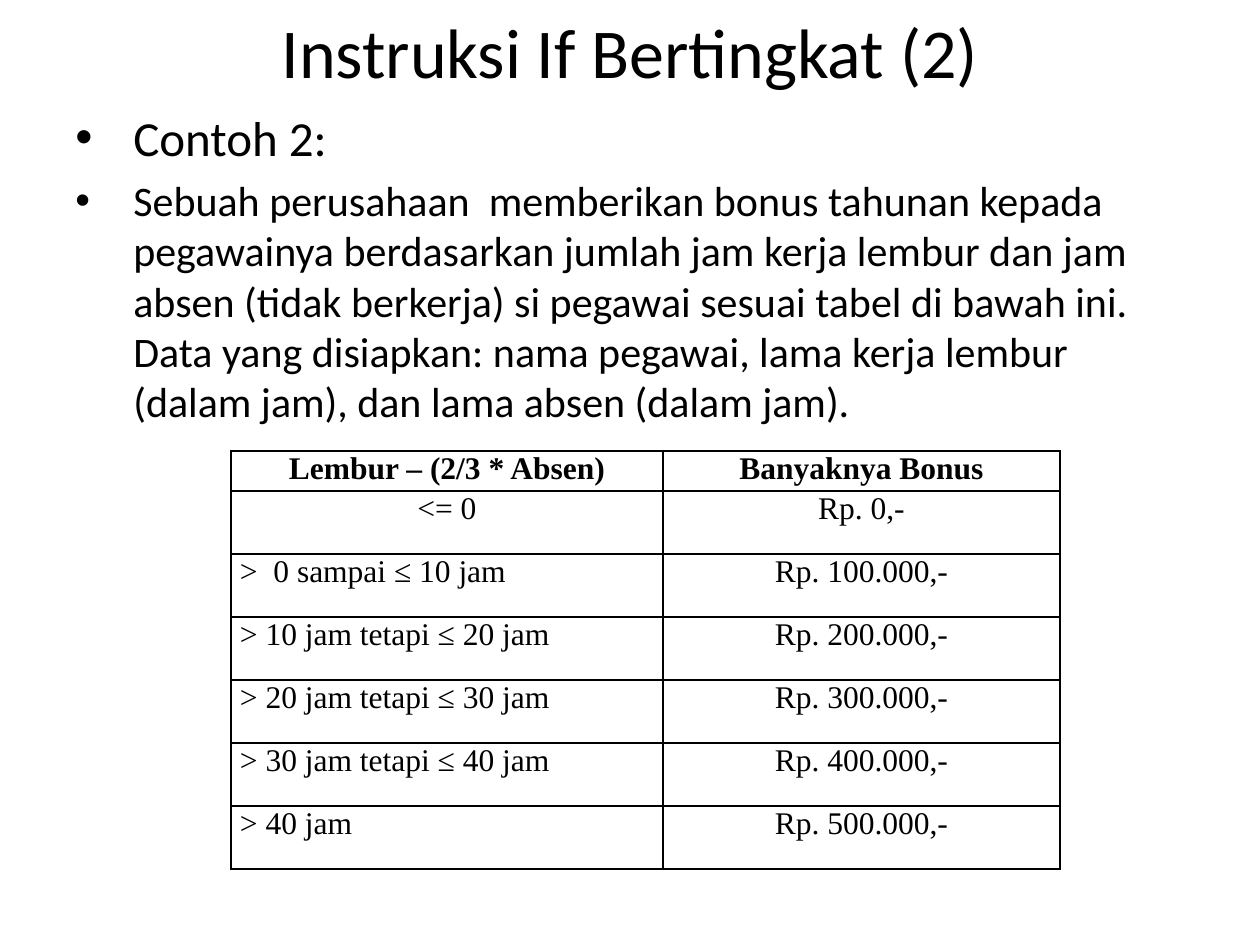
import pptx
import pptx.util
import pptx.dml.color
import pptx.enum.text
import pptx.oxml
import pptx.oxml.ns
import lxml.etree

ALIGN = pptx.enum.text.PP_ALIGN
ANCHOR = pptx.enum.text.MSO_ANCHOR
BLACK = pptx.dml.color.RGBColor(0, 0, 0)
BODY_FONT = "Calibri"
TABLE_FONT = "Times New Roman"

TITLE = "Instruksi If Bertingkat (2)"
BULLETS = [
    ("Contoh 2:", 28),
    ("Sebuah perusahaan  memberikan bonus tahunan kepada pegawainya "
     "berdasarkan jumlah jam kerja lembur dan jam absen (tidak berkerja) "
     "si pegawai sesuai tabel di bawah ini. Data yang disiapkan: nama "
     "pegawai, lama kerja lembur (dalam jam), dan lama absen (dalam jam).", 24),
]
BONUS_ROWS = [
    ("Lembur – (2/3 * Absen)", "Banyaknya Bonus"),
    ("<= 0", "Rp. 0,-"),
    (">  0 sampai ≤ 10 jam", "Rp. 100.000,-"),
    ("> 10 jam tetapi ≤ 20 jam", "Rp. 200.000,-"),
    ("> 20 jam tetapi ≤ 30 jam", "Rp. 300.000,-"),
    ("> 30 jam tetapi ≤ 40 jam", "Rp. 400.000,-"),
    ("> 40 jam", "Rp. 500.000,-"),
]

SLIDE_SIZE = (1260, 945)
TITLE_BOX = (63, -1, 1134, 103)
BODY_BOX = (63, 101, 1134, 766)
TABLE_ORIGIN = (231, 451)
COLUMN_WIDTHS = (432, 397)
HEADER_HEIGHT, ROW_HEIGHT = 40, 63
BULLET_INDENT = 58
CELL_MARGIN = 9
CENTERED_ROWS = 2


def px(length):
    return pptx.util.Emu(length * 914400 // 126)


def write(paragraph, text, size, font=BODY_FONT, bold=False, align=ALIGN.LEFT):
    paragraph.alignment = align
    run = paragraph.add_run()
    run.text = text
    run.font.size = pptx.util.Pt(size)
    run.font.name = font
    run.font.bold = bold
    run.font.color.rgb = BLACK


def add_frame(slide, box, anchor):
    frame = slide.shapes.add_textbox(*map(px, box)).text_frame
    frame.word_wrap = True
    frame.vertical_anchor = anchor
    return frame


def add_bullet(paragraph):
    properties = paragraph._p.get_or_add_pPr()
    properties.set("marL", str(px(BULLET_INDENT)))
    properties.set("indent", str(-px(BULLET_INDENT)))
    for tag, attribute, value in (("a:buFont", "typeface", "Arial"),
                                  ("a:buChar", "char", "•")):
        mark = lxml.etree.SubElement(properties, pptx.oxml.ns.qn(tag))
        mark.set(attribute, value)


def add_borders(cell):
    properties = cell._tc.get_or_add_tcPr()
    for index, side in enumerate(("lnL", "lnR", "lnT", "lnB")):
        properties.insert(index, pptx.oxml.parse_xml(
            f'<a:{side} {pptx.oxml.ns.nsdecls("a")} w="12700">'
            f'<a:solidFill><a:srgbClr val="{BLACK}"/></a:solidFill></a:{side}>'))


def add_bonus_table(slide):
    heights = [HEADER_HEIGHT] + [ROW_HEIGHT] * (len(BONUS_ROWS) - 1)
    size = (sum(COLUMN_WIDTHS), sum(heights))
    table = slide.shapes.add_table(
        len(heights), len(COLUMN_WIDTHS), *map(px, TABLE_ORIGIN + size)).table
    table.first_row = table.horz_banding = False
    for column, width in zip(table.columns, COLUMN_WIDTHS):
        column.width = px(width)
    for row, height in zip(table.rows, heights):
        row.height = px(height)
    for r, texts in enumerate(BONUS_ROWS):
        for c, text in enumerate(texts):
            cell = table.cell(r, c)
            cell.margin_left = cell.margin_right = px(CELL_MARGIN)
            cell.margin_top = cell.margin_bottom = 0
            cell.fill.background()
            add_borders(cell)
            centered = c > 0 or r < CENTERED_ROWS
            write(cell.text_frame.paragraphs[0], text, 18, TABLE_FONT,
                  bold=r == 0, align=ALIGN.CENTER if centered else ALIGN.JUSTIFY)


def main():
    deck = pptx.Presentation()
    deck.slide_width, deck.slide_height = map(px, SLIDE_SIZE)
    slide = deck.slides.add_slide(deck.slide_layouts[6])

    title = add_frame(slide, TITLE_BOX, ANCHOR.MIDDLE)
    write(title.paragraphs[0], TITLE, 40, align=ALIGN.CENTER)

    body = add_frame(slide, BODY_BOX, ANCHOR.TOP)
    for index, (text, size) in enumerate(BULLETS):
        paragraph = body.add_paragraph() if index else body.paragraphs[0]
        paragraph.space_before = pptx.util.Pt(round(size * 0.2, 1))
        add_bullet(paragraph)
        write(paragraph, text, size)

    add_bonus_table(slide)
    deck.save("out.pptx")


if __name__ == "__main__":
    main()
